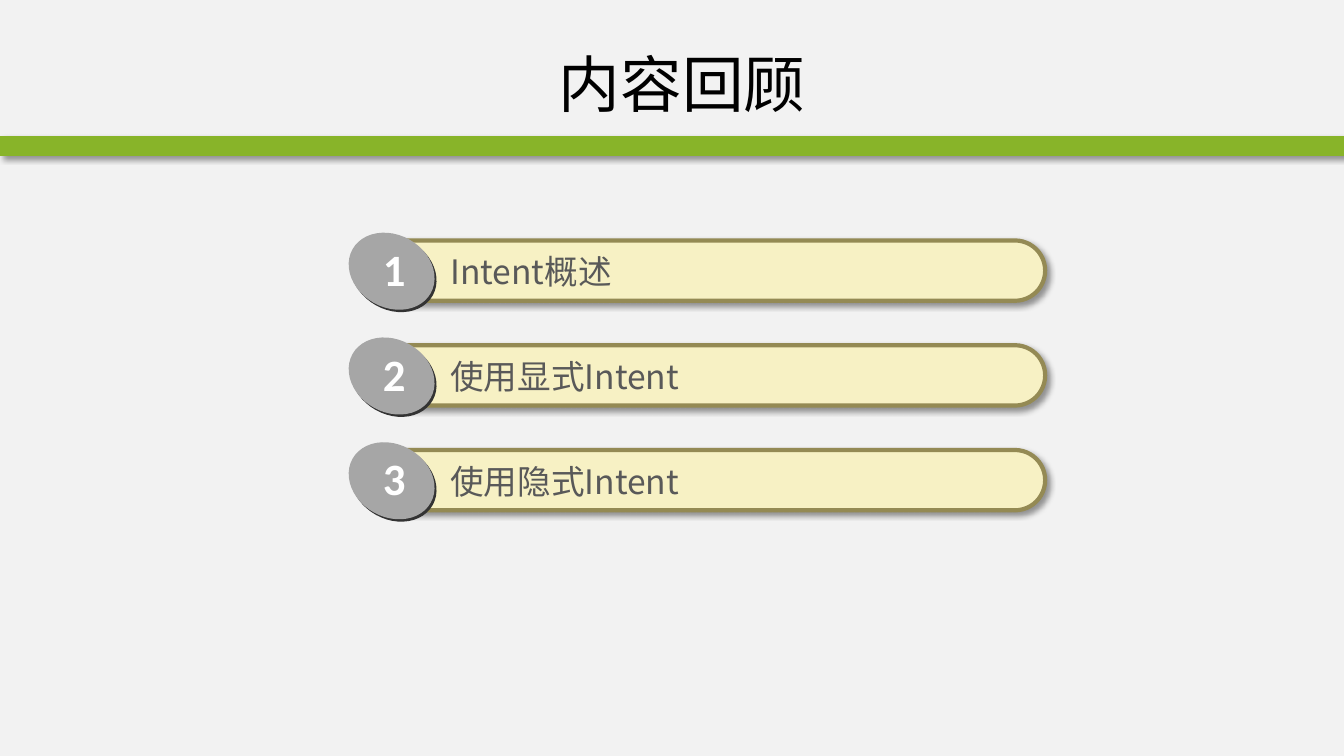
"""Build the review slide: a title, a green rule and three numbered topics."""
from lxml import etree
from pptx import Presentation
from pptx import util as u
from pptx.dml.color import RGBColor
from pptx.enum import shapes, text
from pptx.oxml import parse_xml
from pptx.oxml.ns import nsdecls, qn

SHADOW = (
    f'<a:outerShdw {nsdecls("a")} blurRad="50800" dist="38100" dir="2700000" '
    'algn="tl" rotWithShape="0"><a:srgbClr val="000000">'
    '<a:alpha val="40000"/></a:srgbClr></a:outerShdw>'
)


def add_block(parent, kind, place, fill, line=None, shaded=False):
    block = parent.add_shape(kind, *[u.Cm(length) for length in place])
    block.fill.solid()
    block.fill.fore_color.rgb = RGBColor.from_string(fill)
    if line:
        block.line.color.rgb = RGBColor.from_string(line)
        block.line.width = u.Pt(3)
    else:
        block.line.fill.background()
    block.shadow.inherit = False
    if shaded:
        effects = block._element.spPr.find(qn("a:effectLst"))
        effects.append(parse_xml(SHADOW))
    return block


def add_label(parent, place, words, size, font, color, bold=False, wrap=True):
    box = parent.add_textbox(*[u.Cm(length) for length in place])
    box.text_frame.word_wrap = wrap
    para = box.text_frame.paragraphs[0]
    span = para.add_run()
    span.text = words
    span.font.size = u.Pt(size)
    span.font.name = font
    span.font.bold = bold
    span.font.color.rgb = RGBColor.from_string(color)
    east_asian = etree.SubElement(span._r.get_or_add_rPr(), qn("a:ea"))
    east_asian.set("typeface", font)
    return box


deck = Presentation()
deck.slide_width = u.Cm(33.87)
deck.slide_height = u.Cm(19.05)
page = deck.slides.add_slide(deck.slide_layouts[6])
page.background.fill.solid()
page.background.fill.fore_color.rgb = RGBColor.from_string("F2F2F2")

shape_kind = shapes.MSO_SHAPE
add_block(page.shapes, shape_kind.RECTANGLE, (0, 3.43, 33.87, 0.5), "88B429", shaded=True)

cjk_font = "Noto Sans CJK SC"
topics = ["Intent概述", "使用显式Intent", "使用隐式Intent"]
first_top, pitch = 6.06, 2.64
for index, topic in enumerate(topics):
    top = first_top + index * pitch
    row = page.shapes.add_group_shape().shapes
    bar = add_block(row, shape_kind.ROUNDED_RECTANGLE, (9.3, top, 17.04, 1.52),
                    "F7F1C4", line="948A54", shaded=True)
    bar.adjustments[0] = 0.5
    add_label(row, (11.1, top + 0.14, 13.56, 1.3), topic, 24, cjk_font, "595959")
    for left, rise, fill in [(8.79, 0.08, "333333"), (8.74, 0.14, "A6A6A6")]:
        disc = add_block(row, shape_kind.OVAL, (left, top - rise, 2.26, 1.83), fill)
        disc.rotation = 29.3
    add_label(row, (9.4, top - 0.1, 1.09, 1.63), str(index + 1), 32, "Calibri",
              "FFFFFF", bold=True, wrap=False)

title = add_label(page.shapes, (3.53, 0.76, 27.33, 2.67), "内容回顾", 44, cjk_font, "000000")
title.text_frame.vertical_anchor = text.MSO_ANCHOR.MIDDLE
title.text_frame.paragraphs[0].alignment = text.PP_ALIGN.CENTER

deck.save("out.pptx")
